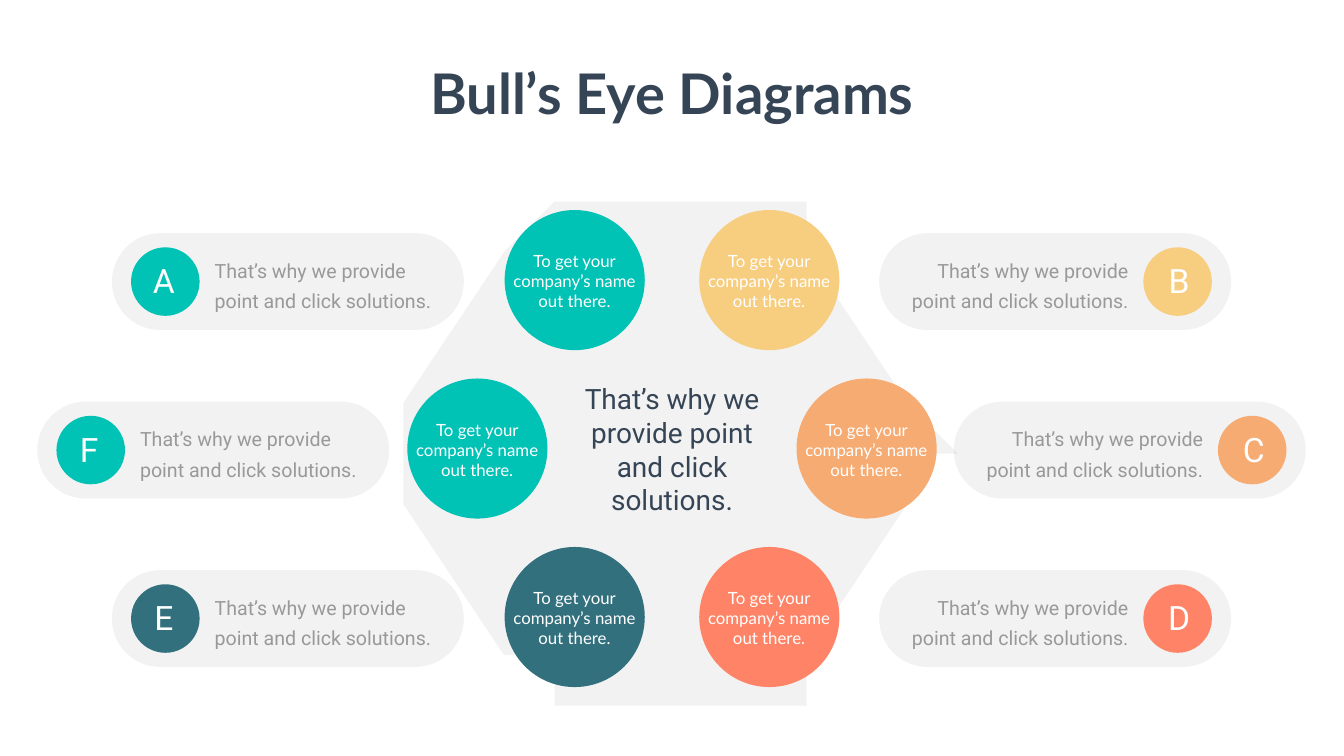
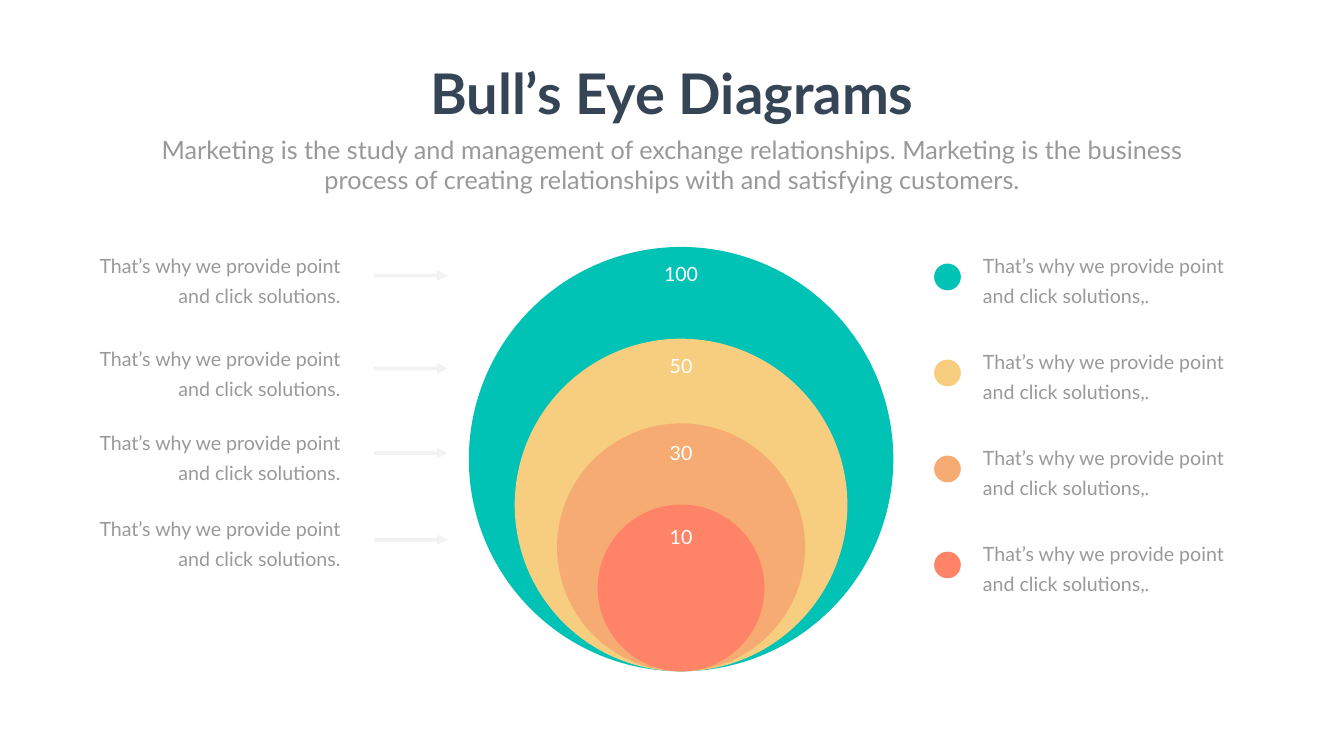
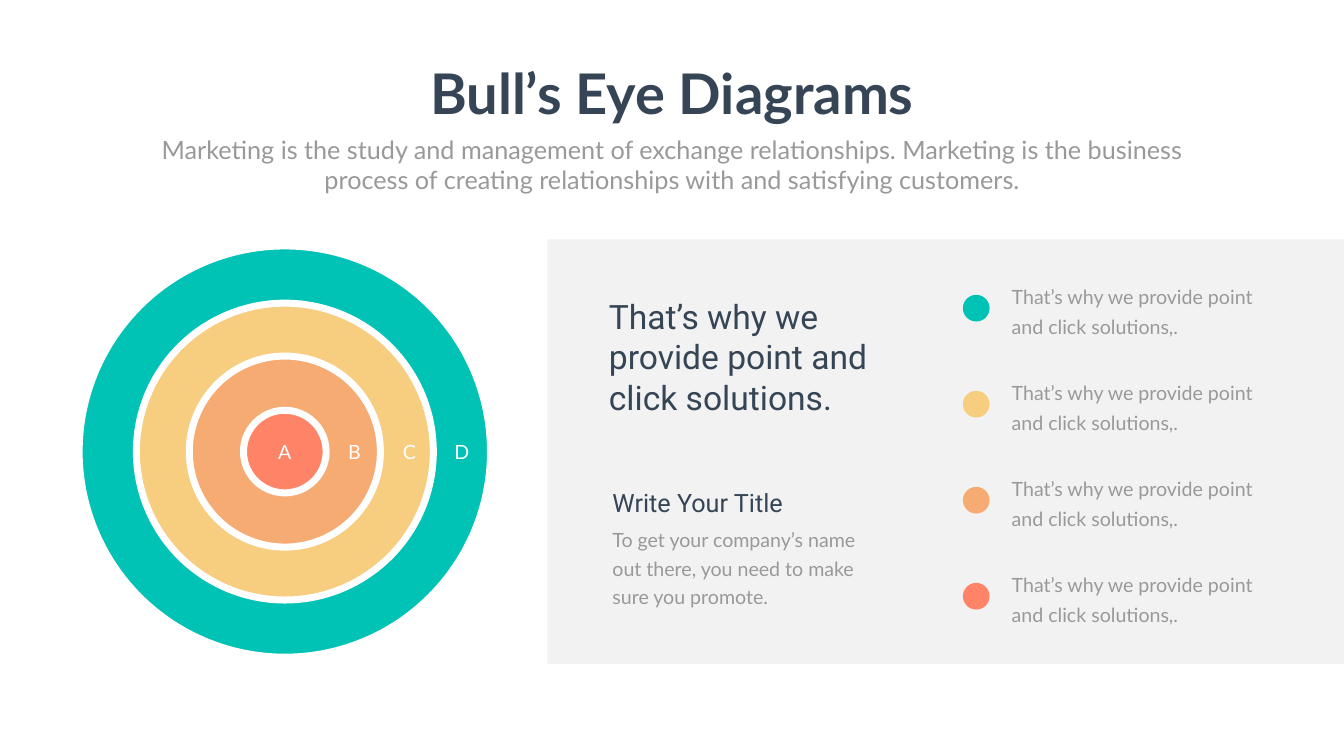
import math

import lxml.etree
import pptx
import pptx.dml.color
import pptx.enum.shapes
import pptx.enum.text
import pptx.oxml.ns
import pptx.util

Inches = pptx.util.Inches
Pt = pptx.util.Pt
qn = pptx.oxml.ns.qn
rgb = pptx.dml.color.RGBColor.from_string
SHAPE = pptx.enum.shapes.MSO_SHAPE
ALIGN = pptx.enum.text.PP_ALIGN

TEAL, YELLOW, ORANGE, CORAL, PETROL = "00C2B5", "F7CD7F", "F6AB72", "FF8467", "32707D"
NAVY, GREY, WHITE, SHADE = "364556", "999999", "FFFFFF", "808080"
RING_COLOURS = (TEAL, YELLOW, ORANGE, CORAL)
SHADE_ALPHA = "10000"  # 10 % opacity
SOLUTIONS = "That’s why we provide point and click solutions."


def add_shape(slide, outline, left, top, width, height, colour):
    """Add a borderless shape; the SHADE colour is drawn at 10 % opacity.

    The outline is a preset shape, or a list of points for a freeform, whose
    left, top, width and height are then ignored.
    """
    if isinstance(outline, list):
        builder = slide.shapes.build_freeform(*outline[0], scale=Inches(1))
        builder.add_line_segments(outline[1:], close=True)
        shape = builder.convert_to_shape()
    else:
        shape = slide.shapes.add_shape(
            outline, Inches(left), Inches(top), Inches(width), Inches(height))
    shape.shadow.inherit = False
    shape.line.fill.background()
    shape.fill.solid()
    shape.fill.fore_color.rgb = rgb(colour)
    if colour == SHADE:
        tint = shape._element.spPr.find(qn("a:solidFill"))[0]
        lxml.etree.SubElement(tint, qn("a:alpha"), val=SHADE_ALPHA)
    return shape


def add_text(slide, text, left, top, width, height, size, colour,
             font="Lato", align=ALIGN.LEFT, spacing=None, bold=False, wrap=True):
    box = slide.shapes.add_textbox(Inches(left), Inches(top), Inches(width), Inches(height))
    frame = box.text_frame
    frame.word_wrap = wrap
    frame.auto_size = pptx.enum.text.MSO_AUTO_SIZE.SHAPE_TO_FIT_TEXT
    paragraph = frame.paragraphs[0]
    paragraph.alignment = align
    if spacing:
        paragraph.line_spacing = Pt(spacing)
    run = paragraph.add_run()
    run.text = text
    run.font.name = font
    run.font.size = Pt(size)
    run.font.bold = bold
    run.font.color.rgb = rgb(colour)


deck = pptx.Presentation()
deck.slide_width, deck.slide_height = Inches(26.66), Inches(15)
hexagon_slide, nested_slide, target_slide = (
    deck.slides.add_slide(deck.slide_layouts[6]) for _ in range(3))

# Shared headings
for slide in (hexagon_slide, nested_slide, target_slide):
    add_text(slide, "Bull’s Eye Diagrams", 8.34, 1.12, 9.98, 1.45, 80, NAVY,
             align=ALIGN.CENTER, bold=True, wrap=False)
for slide in (nested_slide, target_slide):
    add_text(slide, "Marketing is the study and management of exchange relationships. "
             "Marketing is the business process of creating relationships with and "
             "satisfying customers.",
             2.92, 2.61, 20.82, 1.31, 36, GREY, align=ALIGN.CENTER)

# Slide 1: rounded hexagon, six circles and their lettered pills
centre_x, centre_y = 13.33, 8.9
corner_distance, corner_radius = 3.78, 1.46
hexagon = []
for corner in range(0, 360, 60):
    for turn in range(corner - 30, corner + 31, 3):
        hexagon.append((
            centre_x + corner_distance * math.cos(math.radians(corner))
            + corner_radius * math.cos(math.radians(turn)),
            centre_y + corner_distance * math.sin(math.radians(corner))
            + corner_radius * math.sin(math.radians(turn))))
add_shape(hexagon_slide, hexagon, 0, 0, 0, 0, SHADE)
add_text(hexagon_slide, SOLUTIONS, 11.33, 7.53, 4, 2.79, 40, NAVY, "Roboto", ALIGN.CENTER)

orbit, diameter = 3.86, 2.78
pills = (("A", TEAL, -120, 2.22), ("B", YELLOW, -60, 17.44), ("C", ORANGE, 0, 18.92),
         ("D", CORAL, 60, 17.44), ("E", PETROL, 120, 2.22), ("F", TEAL, 180, 0.74))
for letter, colour, angle, pill_left in pills:
    x = centre_x + orbit * math.cos(math.radians(angle))
    y = centre_y + orbit * math.sin(math.radians(angle))
    add_shape(hexagon_slide, SHAPE.OVAL, x - diameter / 2, y - diameter / 2,
              diameter, diameter, colour)
    add_text(hexagon_slide, "To get your company’s name out there.",
             x - 1.32, y - 0.63, 2.63, 1.31, 24, WHITE, align=ALIGN.CENTER)

    if pill_left > centre_x:
        badge, initial, note, align = 5.24, 5.54, 0.46, ALIGN.RIGHT
    else:
        badge, initial, note, align = 0.38, 0.62, 1.94, ALIGN.LEFT
    pill_top = y - 0.93
    pill = add_shape(hexagon_slide, SHAPE.ROUNDED_RECTANGLE,
                     pill_left, pill_top, 6.98, 1.92, SHADE)
    pill.adjustments[0] = 0.5
    add_shape(hexagon_slide, SHAPE.OVAL, pill_left + badge, pill_top + 0.28, 1.36, 1.36, colour)
    add_text(hexagon_slide, letter, pill_left + initial, pill_top + 0.49, 0.82, 0.91,
             48, WHITE, "Roboto", ALIGN.CENTER)
    add_text(hexagon_slide, SOLUTIONS, pill_left + note, pill_top + 0.33, 4.58, 1.25,
             28, GREY, "Roboto", align, 43)

# Slide 2: nested circles on a common base, each with an arrow and a note
nest_x, nest_bottom = 13.51, 13.32
levels = (("100", 8.42, 5.14, 1.33, 5.47, 4.85), ("50", 6.6, 6.98, 0.85, 7.31, 6.71),
          ("30", 4.92, 8.69, 0.85, 8.99, 8.37), ("10", 3.31, 10.37, 0.85, 10.71, 10.08))
for colour, (value, size, value_top, value_width, arrow_y, note_top) in zip(RING_COLOURS, levels):
    add_shape(nested_slide, SHAPE.OVAL, nest_x - size / 2, nest_bottom - size, size, size, colour)
    add_text(nested_slide, value, nest_x - value_width / 2, value_top, value_width, 0.57,
             28, WHITE, align=ALIGN.CENTER)
    add_text(nested_slide, SOLUTIONS, 1.8, note_top, 5.05, 1.24, 28, GREY,
             align=ALIGN.RIGHT, spacing=43)
    arrow = nested_slide.shapes.add_connector(
        pptx.enum.shapes.MSO_CONNECTOR.STRAIGHT,
        Inches(7.42), Inches(arrow_y), Inches(8.88), Inches(arrow_y))
    arrow.line.width = Pt(5)
    arrow.line.color.rgb = rgb(SHADE)
    stroke = arrow._element.spPr.find(qn("a:ln"))
    lxml.etree.SubElement(stroke.find(qn("a:solidFill"))[0], qn("a:alpha"), val=SHADE_ALPHA)
    lxml.etree.SubElement(stroke, qn("a:tailEnd"), type="triangle")
    lxml.etree.SubElement(arrow._element.spPr, qn("a:effectLst"))

# Slide 3: concentric target beside a shaded panel
target_x, target_y = 5.65, 8.96
for colour, size in zip(RING_COLOURS, (8.16, 5.89, 3.79, 1.64)):
    ring = add_shape(target_slide, SHAPE.OVAL, target_x - size / 2, target_y - size / 2,
                     size, size, colour)
    ring.line.color.rgb = rgb(WHITE)
    ring.line.width = Pt(10)
for letter, left in zip("ABCD", (5.24, 6.62, 7.71, 8.75)):
    add_text(target_slide, letter, left, 8.68, 0.82, 0.63, 28, WHITE, align=ALIGN.CENTER)

add_shape(target_slide, SHAPE.RECTANGLE, 10.86, 4.75, 15.8, 8.42, SHADE)
add_text(target_slide, SOLUTIONS, 11.98, 5.82, 5.68, 2.52, 48, NAVY, "Roboto")
add_text(target_slide, "Write Your Title", 12.05, 9.61, 4.61, 0.71, 36, NAVY, "Roboto")
add_text(target_slide,
         "To get your company’s name out there, you need to make sure you promote.",
         12.05, 10.33, 5.16, 1.77, 28, GREY, spacing=40.8)

# Colour legend of slides 2 and 3
for slide, left, first_top in ((nested_slide, 18.53, 5.23), (target_slide, 19.1, 5.85)):
    for row, colour in enumerate(RING_COLOURS):
        top = first_top + 1.905 * row
        add_shape(slide, SHAPE.OVAL, left, top, 0.53, 0.53, colour)
        add_text(slide, "That’s why we provide point and click solutions,.",
                 left + 0.87, top - 0.37, 5.46, 1.24, 28, GREY, spacing=43)

deck.save("out.pptx")
